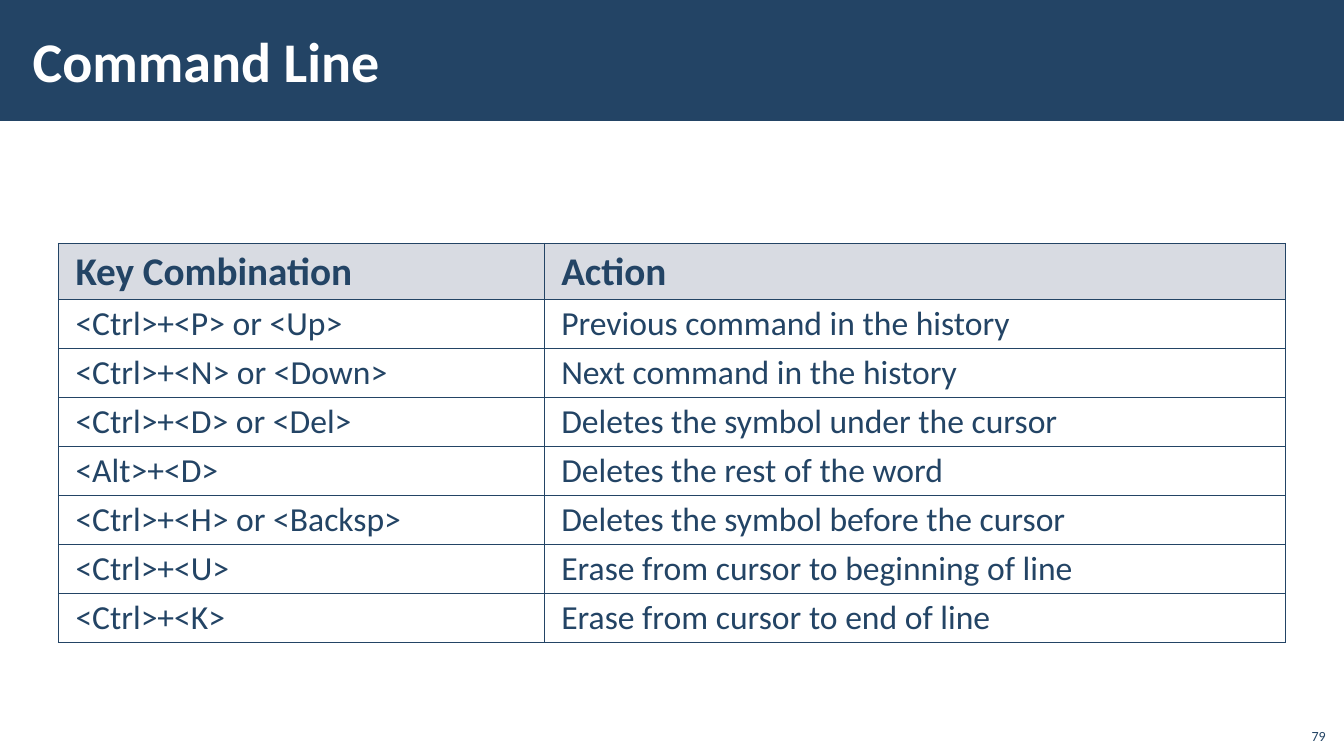
from dataclasses import dataclass

from lxml import etree
from pptx import Presentation
from pptx.dml.color import RGBColor
from pptx.enum.shapes import MSO_SHAPE
from pptx.enum.text import MSO_ANCHOR, PP_ALIGN
from pptx.oxml.ns import qn
from pptx.util import Pt

RECTANGLE = MSO_SHAPE.RECTANGLE
MIDDLE, BOTTOM = MSO_ANCHOR.MIDDLE, MSO_ANCHOR.BOTTOM
LEFT, RIGHT = PP_ALIGN.LEFT, PP_ALIGN.RIGHT

TITLE = "Command Line"
PAGE_NUMBER = "79"
SHORTCUTS = [
    ("Key Combination", "Action"),
    ("<Ctrl>+<P> or <Up>", "Previous command in the history"),
    ("<Ctrl>+<N> or <Down>", "Next command in the history"),
    ("<Ctrl>+<D> or <Del>", "Deletes the symbol under the cursor"),
    ("<Alt>+<D>", "Deletes the rest of the word"),
    ("<Ctrl>+<H> or <Backsp>", "Deletes the symbol before the cursor"),
    ("<Ctrl>+<U>", "Erase from cursor to beginning of line"),
    ("<Ctrl>+<K>", "Erase from cursor to end of line"),
]

SLIDE_SIZE = (960, 540)
BAND_HEIGHT = 86.4
TITLE_BOX = (15, 8, 765, 70)
NUMBER_BOX = (925, 512.5, 29, 23)
TABLE_LEFT, TABLE_TOP = 41.75, 174
COLUMN_WIDTHS = (347, 529.5)
HEADER_HEIGHT, ROW_HEIGHT = 39, 34.6


@dataclass(frozen=True)
class Theme:
    font: str = "Calibri"
    navy: str = "234465"
    white: str = "FFFFFF"
    header_fill: str = "D8DBE2"
    title_size: int = 40
    header_size: int = 28
    body_size: int = 24
    number_size: int = 10


THEME = Theme()


def points(values):
    return [Pt(value) for value in values]


def style(para, size, color, bold=False, align=LEFT):
    para.alignment = align
    para.font.name = THEME.font
    para.font.size = Pt(size)
    para.font.bold = bold
    para.font.color.rgb = RGBColor.from_string(color)


def add_borders(cell):
    """Put the four side lines ahead of the cell's fill, as the schema asks."""
    properties = cell._tc.get_or_add_tcPr()
    for position, side in enumerate(("lnL", "lnR", "lnT", "lnB")):
        line = etree.Element(qn(f"a:{side}"), w=str(Pt(1)))
        fill = etree.SubElement(line, qn("a:solidFill"))
        etree.SubElement(fill, qn("a:srgbClr"), val=THEME.navy)
        properties.insert(position, line)


def add_title(page):
    title = page.shapes.title
    title.left, title.top, title.width, title.height = points(TITLE_BOX)
    frame = title.text_frame
    frame.text = TITLE
    frame.vertical_anchor = MIDDLE
    frame.margin_left = frame.margin_right = Pt(8.4)
    frame.margin_top = frame.margin_bottom = Pt(3)
    style(frame.paragraphs[0], THEME.title_size, THEME.white, bold=True)

    band = page.shapes.add_shape(RECTANGLE, 0, 0, Pt(SLIDE_SIZE[0]), Pt(BAND_HEIGHT))
    band.shadow.inherit = False
    band.fill.solid()
    band.fill.fore_color.rgb = RGBColor.from_string(THEME.navy)
    band.line.fill.background()
    title.element.addprevious(band.element)


def fill_cell(cell, text, is_header):
    cell.text = text
    cell.margin_left = cell.margin_right = Pt(12.2)
    cell.margin_top = cell.margin_bottom = Pt(3.6)
    para = cell.text_frame.paragraphs[0]
    para.line_spacing = 0.95
    size = THEME.header_size if is_header else THEME.body_size
    style(para, size, THEME.navy, bold=is_header)
    if is_header:
        cell.fill.solid()
        cell.fill.fore_color.rgb = RGBColor.from_string(THEME.header_fill)
    else:
        cell.fill.background()
    add_borders(cell)


def add_shortcut_table(page):
    heights = [HEADER_HEIGHT] + [ROW_HEIGHT] * (len(SHORTCUTS) - 1)
    bounds = points((TABLE_LEFT, TABLE_TOP, sum(COLUMN_WIDTHS), sum(heights)))
    table = page.shapes.add_table(len(SHORTCUTS), len(COLUMN_WIDTHS), *bounds).table
    table.horz_banding = False
    for column, width in zip(table.columns, COLUMN_WIDTHS):
        column.width = Pt(width)
    for index, (row, height, texts) in enumerate(zip(table.rows, heights, SHORTCUTS)):
        row.height = Pt(height)
        for cell, text in zip(row.cells, texts):
            fill_cell(cell, text, is_header=index == 0)


def add_page_number(page):
    frame = page.shapes.add_textbox(*points(NUMBER_BOX)).text_frame
    frame.word_wrap = True
    frame.vertical_anchor = BOTTOM
    frame.text = PAGE_NUMBER
    style(frame.paragraphs[0], THEME.number_size, THEME.navy, align=RIGHT)


def main():
    deck = Presentation()
    deck.slide_width, deck.slide_height = points(SLIDE_SIZE)
    page = deck.slides.add_slide(deck.slide_layouts[5])
    add_title(page)
    add_shortcut_table(page)
    add_page_number(page)
    deck.save("out.pptx")


if __name__ == "__main__":
    main()
